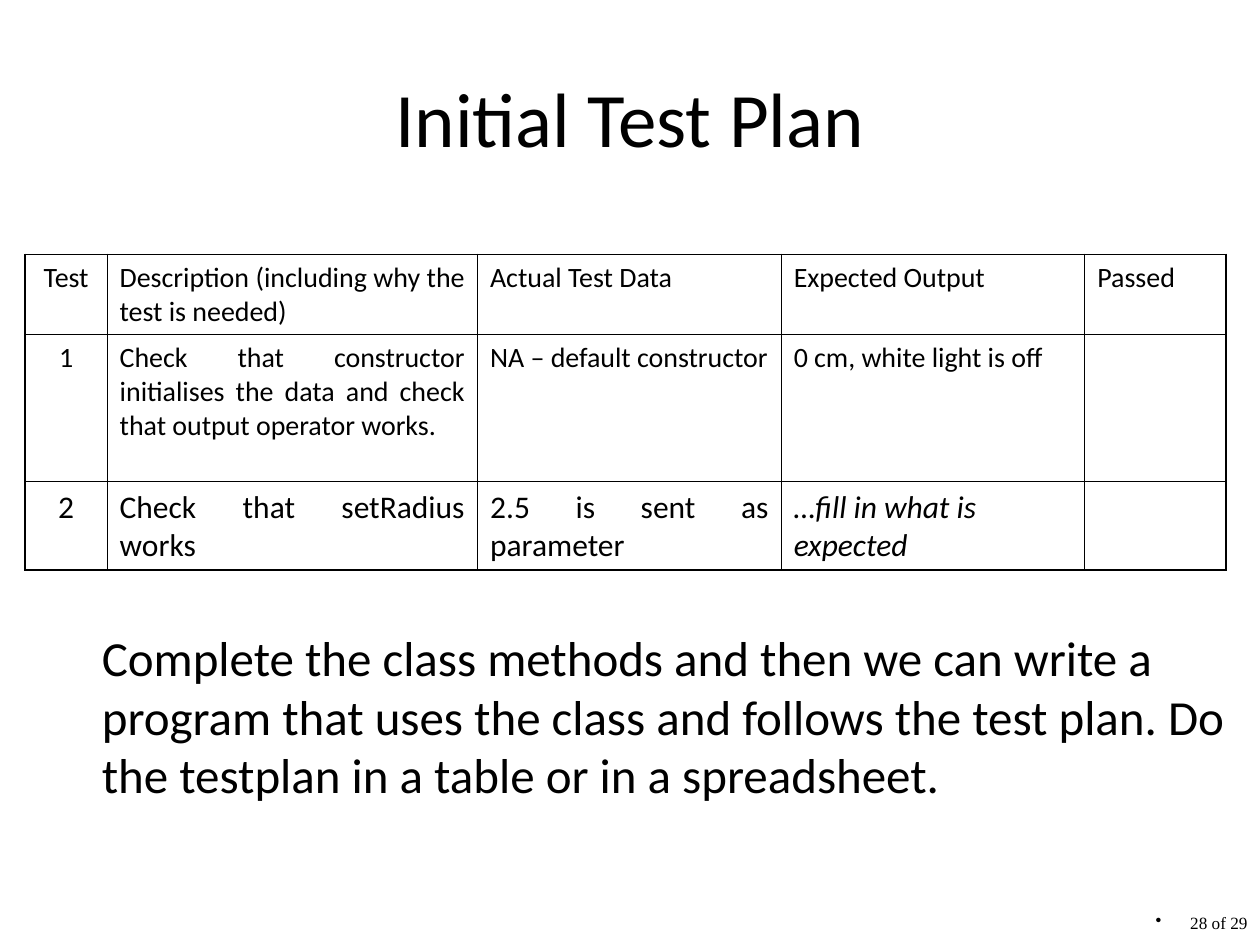
"""Build the Initial Test Plan slide."""
from lxml.etree import SubElement
from pptx import Presentation
from pptx.dml.color import RGBColor
from pptx.enum.text import MSO_ANCHOR as Anchor, PP_ALIGN as Align
from pptx.oxml.ns import qn
from pptx.util import Inches, Pt

BLACK = RGBColor(0, 0, 0)
THIN, THICK = 0.45, 1.08


def write(frame, text, size, font="Calibri", align=Align.LEFT, italic=None,
          before=0, after=0, spacing=None):
    frame.word_wrap = True
    para = frame.paragraphs[0]
    para.alignment = align
    para.space_before, para.space_after = Pt(before), Pt(after)
    if spacing:
        para.line_spacing = spacing
    span = para.add_run()
    span.text = text
    span.font.size, span.font.name = Pt(size), font
    span.font.italic = italic
    span.font.color.rgb = BLACK
    return para


def draw_borders(cell, widths):
    props = cell._tc.get_or_add_tcPr()
    for index, (side, width) in enumerate(widths.items()):
        line = props.makeelement(qn(f"a:{side}"), {"w": str(Pt(width))})
        fill = SubElement(line, qn("a:solidFill"))
        SubElement(fill, qn("a:srgbClr"), val=str(BLACK))
        props.insert(index, line)


deck = Presentation()
deck.slide_width, deck.slide_height = Inches(10), Inches(7.5)
page = deck.slides.add_slide(deck.slide_layouts[6])

title_box = page.shapes.add_textbox(Inches(0.5), Inches(0.3), Inches(9), Inches(1.25))
title_box.text_frame.vertical_anchor = Anchor.MIDDLE
write(title_box.text_frame, "Initial Test Plan", 44, align=Align.CENTER)

number_box = page.shapes.add_textbox(Inches(8.86), Inches(7.22), Inches(1.14), Inches(0.28))
number_para = write(number_box.text_frame, " 28 of 29", 9.8, font="Times New Roman",
                    align=Align.RIGHT, before=3.5, spacing=0.8)
number_props = number_para._p.get_or_add_pPr()
number_props.set("marL", str(Inches(0.24)))
number_props.set("indent", str(-Inches(0.24)))
SubElement(number_props, qn("a:buChar"), char="•")

rows = [
    ["Test", "Description (including why the test is needed)", "Actual Test Data",
     "Expected Output", "Passed"],
    ["1", "Check that constructor initialises the data and check that output operator works.",
     "NA – default constructor", "0 cm, white light is off", ""],
    ["2", "Check that setRadius works", "2.5 is sent as parameter",
     "…fill in what is expected", ""],
]
column_widths = [0.65, 2.94, 2.41, 2.41, 1.12]
row_heights = [0.63, 1.17, 0.7]
text_formats = [
    {"size": 16, "before": 4, "after": 2},
    {"size": 16, "before": 4, "after": 2},
    {"size": 18, "before": 4.5, "after": 2.2},
]
left_aligned = {(1, 2), (2, 3)}
last_row, last_column = len(rows) - 1, len(column_widths) - 1

table = page.shapes.add_table(len(rows), len(column_widths), Inches(0.2), Inches(2.02),
                              Inches(9.53), Inches(2.5)).table
table.first_row = table.horz_banding = False
for column, width in zip(table.columns, column_widths):
    column.width = Inches(width)
for row, height in zip(table.rows, row_heights):
    row.height = Inches(height)

for r, texts in enumerate(rows):
    for c, text in enumerate(texts):
        cell = table.cell(r, c)
        cell.fill.background()
        draw_borders(cell, {
            "lnL": THICK if c == 0 else THIN,
            "lnR": THICK if c == last_column else THIN,
            "lnT": THICK if r == 0 else THIN,
            "lnB": THICK if r == last_row else THIN,
        })
        if text:
            align = Align.CENTER if c == 0 else Align.JUSTIFY
            if (r, c) in left_aligned:
                align = Align.LEFT
            write(cell.text_frame, text, align=align,
                  italic=True if (r, c) == (2, 3) else None, **text_formats[r])

task_box = page.shapes.add_textbox(Inches(0.71), Inches(4.93), Inches(9.29), Inches(1.97))
write(task_box.text_frame,
      "Complete the class methods and then we can write a program that uses the class "
      "and follows the test plan. Do the testplan in a table or in a spreadsheet.",
      28, before=17.5)

deck.save("out.pptx")
